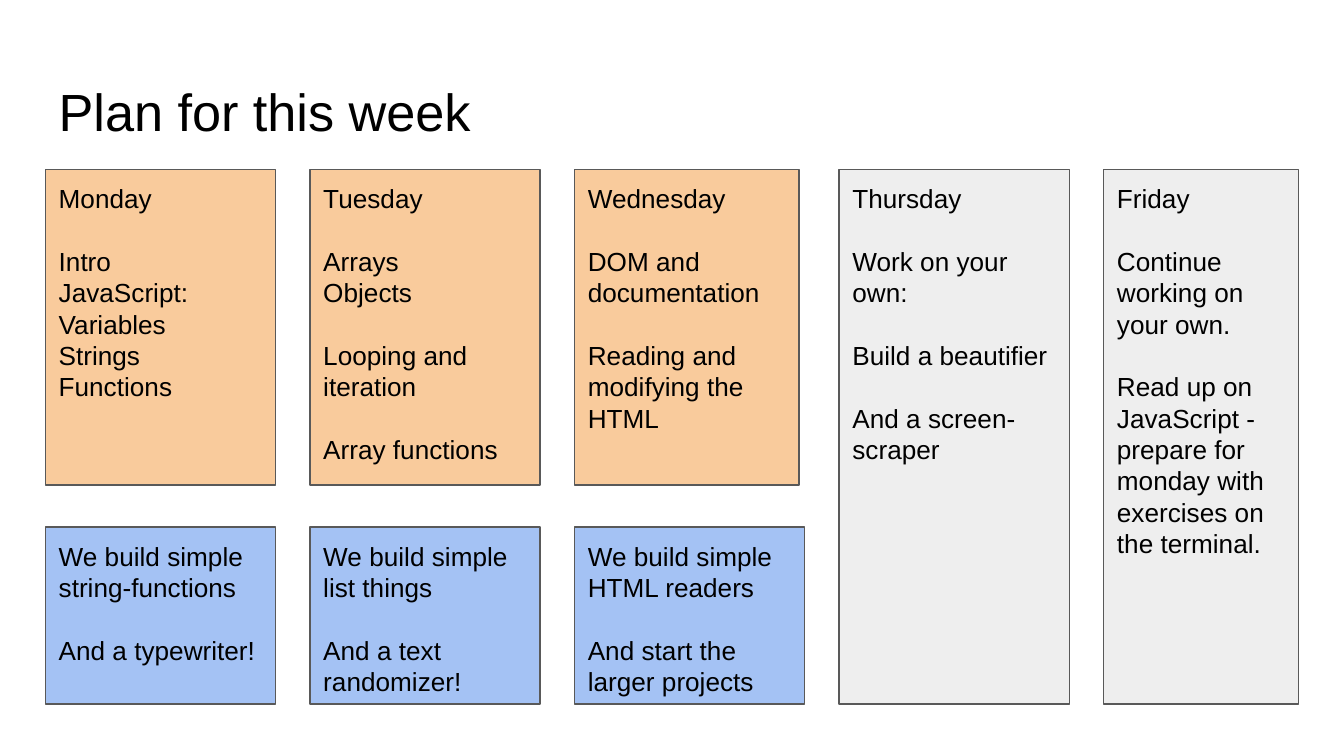
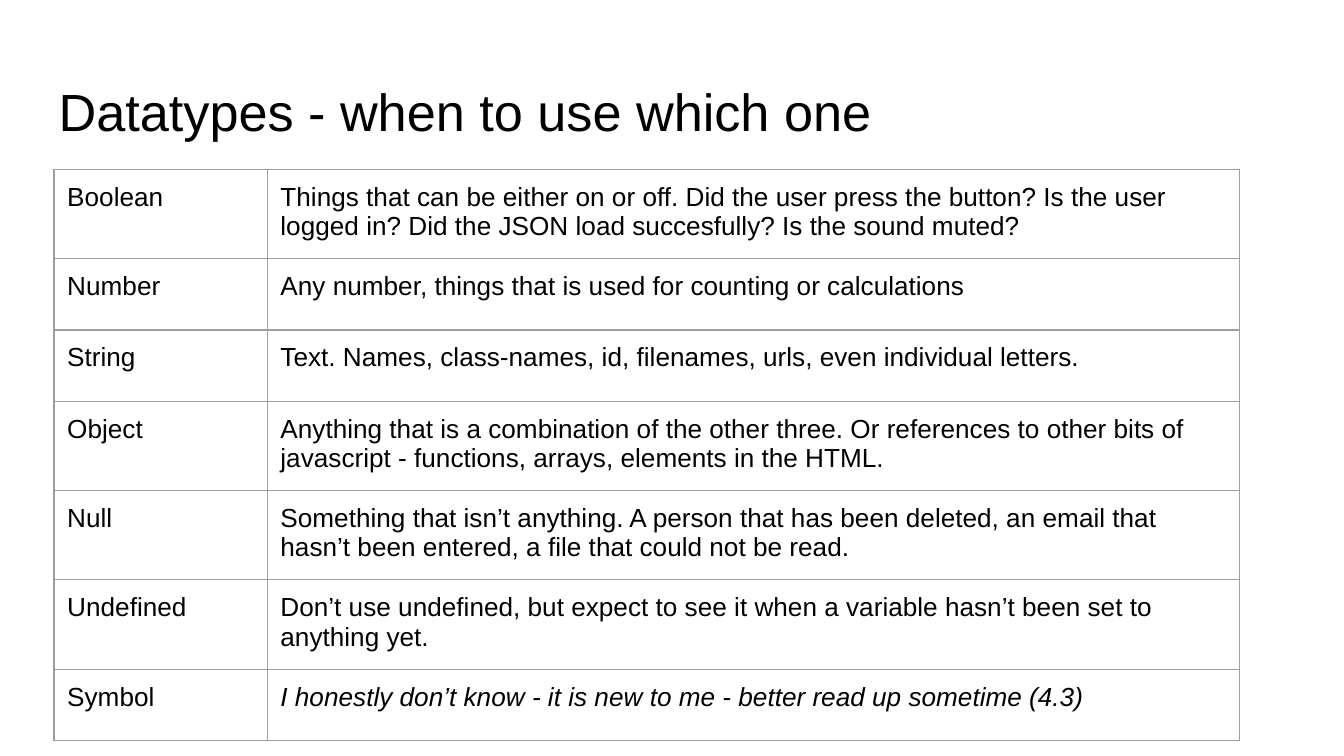
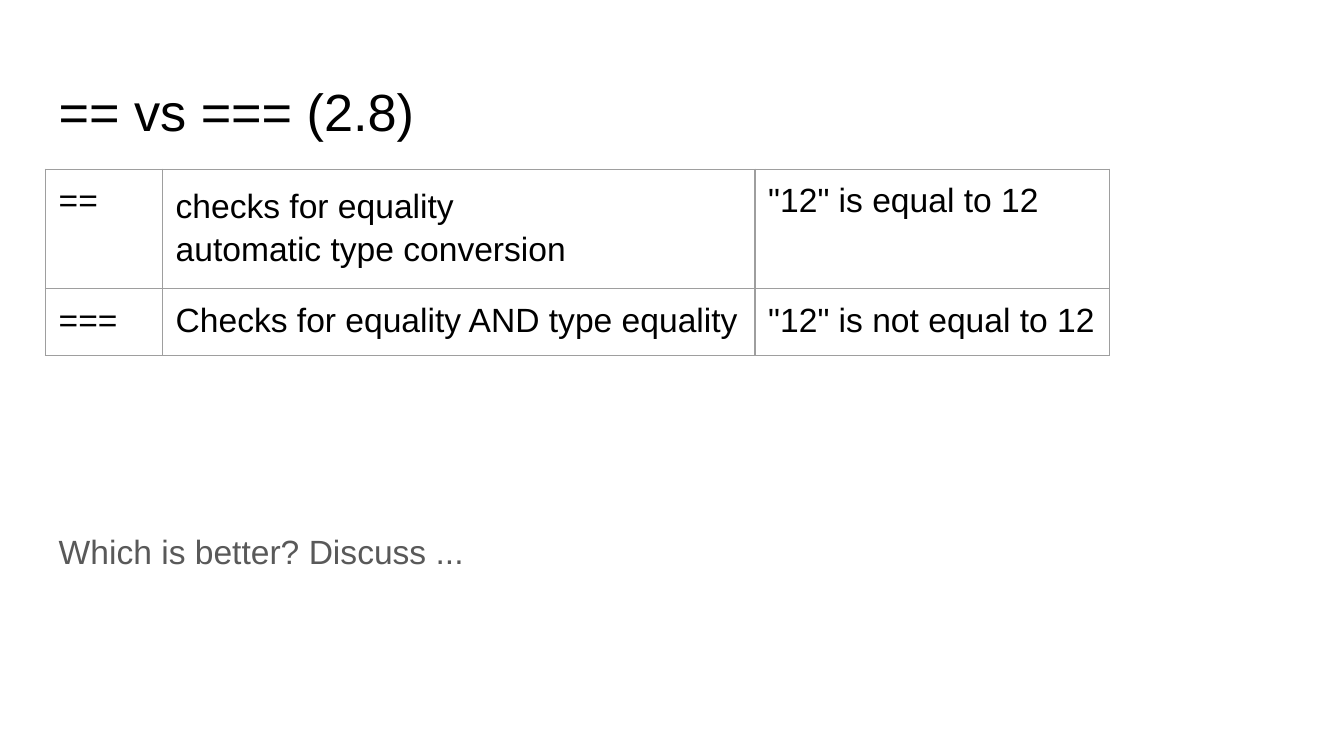
from dataclasses import dataclass

from lxml.etree import SubElement
from pptx import Presentation
from pptx.dml.color import RGBColor
from pptx.enum.shapes import MSO_SHAPE
from pptx.enum.text import MSO_ANCHOR as Anchor, PP_ALIGN as Align
from pptx.oxml.ns import qn
from pptx.slide import Slide
from pptx.table import _Cell as Cell
from pptx.text.text import TextFrame, _Paragraph as Paragraph
from pptx.util import Cm, Pt

FONT = "Arial"
BLACK = "000000"
GREY = "595959"
ORANGE = "F9CB9C"
BLUE = "A4C2F4"
SILVER = "EEEEEE"
BORDER = "9E9E9E"

LEFT = 0.86
CONTENT_WIDTH = 23.67
CONTENT_TOP = 3.2
INSET = 0.25
LINE_WIDTH = Pt(0.75)

COLUMN_STEP = 5.0
CARD_WIDTH = 4.35
LESSON_HEIGHT = 5.97
FULL_HEIGHT = 10.11
TASK_TOP = 9.96
TASK_HEIGHT = 3.35
CARD_SIZE = 14
BLOCK_GAP = 16.8


@dataclass(frozen=True)
class Card:
    column: int
    blocks: list[list[str]]
    fill: str
    top: float = CONTENT_TOP
    height: float = LESSON_HEIGHT
    width: float = CARD_WIDTH


@dataclass(frozen=True)
class Grid:
    left: float
    column_widths: list[float]
    row_height: float
    size: int
    rows: list[tuple[str, ...]]


CARDS = [
    Card(0, [["Monday"], ["Intro", "JavaScript:", "Variables", "Strings", "Functions"]], ORANGE),
    Card(1, [["Tuesday"], ["Arrays", "Objects"], ["Looping and iteration"],
             ["Array functions"]], ORANGE),
    Card(2, [["Wednesday"], ["DOM and documentation"],
             ["Reading and modifying the HTML"]], ORANGE, width=4.24),
    Card(3, [["Thursday"], ["Work on your own:"], ["Build a beautifier"],
             ["And a screen-scraper"]], SILVER, height=FULL_HEIGHT),
    Card(4, [["Friday"], ["Continue working on your own."],
             ["Read up on JavaScript - prepare for monday with exercises on the terminal."]],
         SILVER, height=FULL_HEIGHT, width=3.68),
    Card(0, [["We build simple string-functions"], ["And a typewriter!"]],
         BLUE, TASK_TOP, TASK_HEIGHT),
    Card(1, [["We build simple list things"], ["And a text randomizer!"]],
         BLUE, TASK_TOP, TASK_HEIGHT),
    Card(2, [["We build simple HTML readers"], ["And start the larger projects"]],
         BLUE, TASK_TOP, TASK_HEIGHT),
]

DATATYPES = Grid(1.02, [4.03, 18.37], 1.35, 14, [
    ("Boolean", "Things that can be either on or off. Did the user press the button? "
                "Is the user logged in? Did the JSON load succesfully? Is the sound muted?"),
    ("Number", "Any number, things that is used for counting or calculations"),
    ("String", "Text. Names, class-names, id, filenames, urls, even individual letters."),
    ("Object", "Anything that is a combination of the other three. Or references to other "
               "bits of javascript - functions, arrays, elements in the HTML."),
    ("Null", "Something that isn’t anything. A person that has been deleted, an email that "
             "hasn’t been entered, a file that could not be read."),
    ("Undefined", "Don’t use undefined, but expect to see it when a variable hasn’t been "
                  "set to anything yet."),
    ("Symbol", "I honestly don’t know - it is new to me - better read up sometime (4.3)"),
])

EQUALITY = Grid(LEFT, [2.21, 11.2, 6.7], 1.07, 18, [
    ("==", "checks for equality\vautomatic type conversion", '"12" is equal to 12'),
    ("===", "Checks for equality AND type equality", '"12" is not equal to 12'),
])


def color(value: str) -> RGBColor:
    return RGBColor.from_string(value)


def style(para: Paragraph, size: float, ink: str = BLACK) -> None:
    para.alignment = Align.LEFT
    para.font.name = FONT
    para.font.size = Pt(size)
    para.font.color.rgb = color(ink)


def set_insets(target: TextFrame | Cell) -> None:
    target.margin_left = target.margin_right = Cm(INSET)
    target.margin_top = target.margin_bottom = Cm(INSET)


def add_text(page: Slide, text: str, top: float, height: float, size: float,
             ink: str = BLACK) -> TextFrame:
    box = page.shapes.add_textbox(Cm(LEFT), Cm(top), Cm(CONTENT_WIDTH), Cm(height))
    frame = box.text_frame
    frame.word_wrap = True
    set_insets(frame)
    frame.text = text
    style(frame.paragraphs[0], size, ink)
    return frame


def add_page(deck: Presentation, title: str) -> Slide:
    page = deck.slides.add_slide(deck.slide_layouts[6])
    page.background.fill.solid()
    page.background.fill.fore_color.rgb = color("FFFFFF")
    add_text(page, title, 1.24, 1.6, 28)
    return page


def add_card(page: Slide, card: Card) -> None:
    box = page.shapes.add_shape(
        MSO_SHAPE.RECTANGLE, Cm(LEFT + card.column * COLUMN_STEP), Cm(card.top),
        Cm(card.width), Cm(card.height))
    box.shadow.inherit = False
    box.fill.solid()
    box.fill.fore_color.rgb = color(card.fill)
    box.line.color.rgb = color(GREY)
    box.line.width = LINE_WIDTH
    frame = box.text_frame
    frame.word_wrap = True
    frame.vertical_anchor = Anchor.TOP
    set_insets(frame)
    frame.text = "\n".join(line for block in card.blocks for line in block)
    for para in frame.paragraphs:
        style(para, CARD_SIZE)
    first = 0
    for block in card.blocks[:-1]:
        first += len(block)
        frame.paragraphs[first].space_before = Pt(BLOCK_GAP)


def add_borders(cell: Cell) -> None:
    properties = cell._tc.get_or_add_tcPr()
    for index, side in enumerate(("a:lnL", "a:lnR", "a:lnT", "a:lnB")):
        line = properties.makeelement(qn(side), {"w": str(LINE_WIDTH)})
        properties.insert(index, line)
        SubElement(SubElement(line, qn("a:solidFill")), qn("a:srgbClr"), val=BORDER)


def add_grid(page: Slide, grid: Grid) -> list[list[Cell]]:
    widths = grid.column_widths
    table = page.shapes.add_table(
        len(grid.rows), len(widths), Cm(grid.left), Cm(CONTENT_TOP),
        Cm(sum(widths)), Cm(grid.row_height * len(grid.rows))).table
    table.first_row = False
    table.horz_banding = False
    for column, width in zip(table.columns, widths):
        column.width = Cm(width)
    for row, texts in zip(table.rows, grid.rows):
        row.height = Cm(grid.row_height)
        for cell, text in zip(row.cells, texts):
            cell.text = text
            set_insets(cell)
            cell.fill.background()
            add_borders(cell)
            style(cell.text_frame.paragraphs[0], grid.size)
    return [list(row.cells) for row in table.rows]


def build_week(deck: Presentation) -> None:
    page = add_page(deck, "Plan for this week")
    for card in CARDS:
        add_card(page, card)


def build_datatypes(deck: Presentation) -> None:
    page = add_page(deck, "Datatypes - when to use which one")
    cells = add_grid(page, DATATYPES)
    cells[-1][1].text_frame.paragraphs[0].font.italic = True


def build_equality(deck: Presentation) -> None:
    page = add_page(deck, "== vs === (2.8)")
    question = add_text(page, "Which is better? Discuss ...", 8.08, 5.21, 18, GREY)
    question.margin_top = Cm(3.05)
    question.paragraphs[0].line_spacing = 1.15
    cells = add_grid(page, EQUALITY)
    cells[0][1].text_frame.paragraphs[0].line_spacing = 1.15


def main() -> None:
    deck = Presentation()
    deck.slide_width = Cm(25.4)
    deck.slide_height = Cm(14.29)
    build_week(deck)
    build_datatypes(deck)
    build_equality(deck)
    deck.save("out.pptx")


if __name__ == "__main__":
    main()
